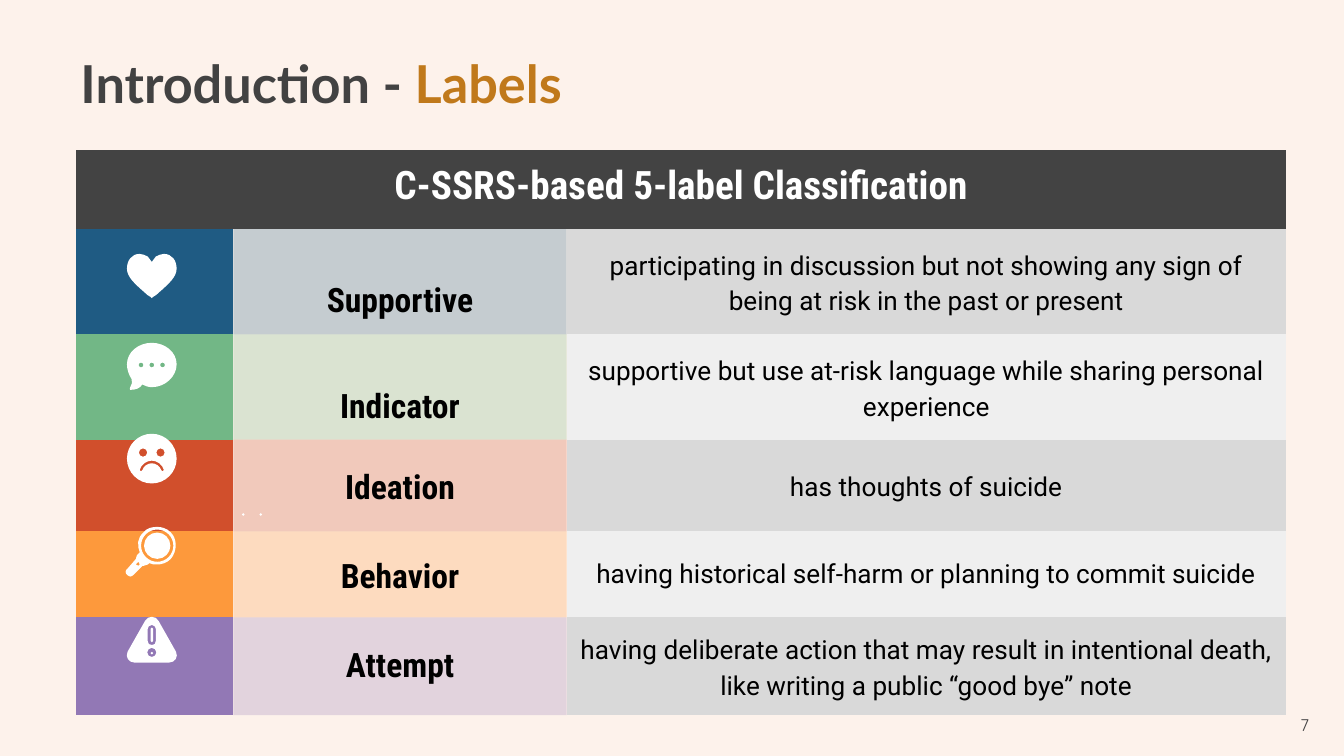
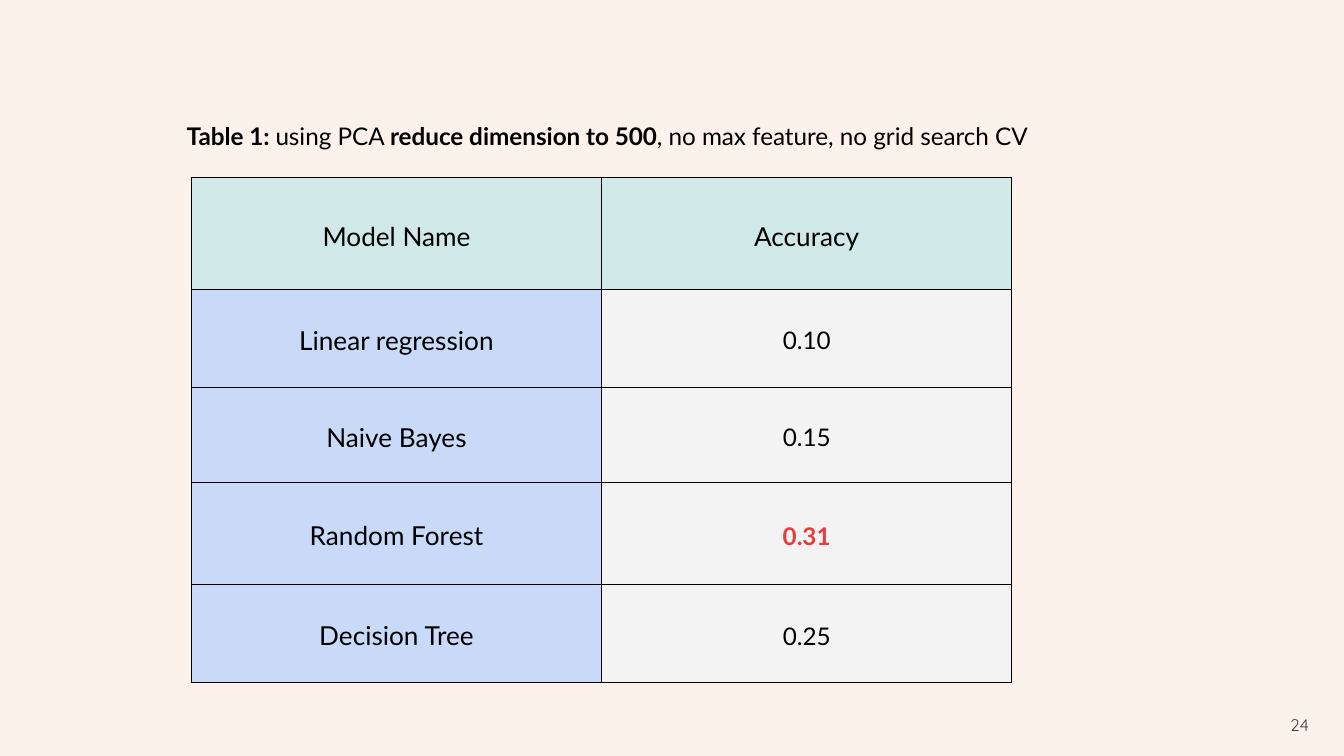
from lxml import etree
from pptx import Presentation
from pptx.dml.color import RGBColor
from pptx.enum.text import MSO_ANCHOR, MSO_AUTO_SIZE, PP_ALIGN
from pptx.oxml.ns import qn
from pptx.util import Cm, Pt

TOP, MIDDLE = MSO_ANCHOR.TOP, MSO_ANCHOR.MIDDLE
LEFT, CENTER, RIGHT = PP_ALIGN.LEFT, PP_ALIGN.CENTER, PP_ALIGN.RIGHT
NO_AUTOFIT = MSO_AUTO_SIZE.NONE

# Colours
CREAM = RGBColor(0xFD, 0xF2, 0xEB)
CHARCOAL = RGBColor(0x42, 0x42, 0x42)
HEADER_GRAY = RGBColor(0x43, 0x43, 0x43)
OCHRE = RGBColor(0xC0, 0x79, 0x1B)
WHITE = RGBColor(0xFF, 0xFF, 0xFF)
BLACK = RGBColor(0, 0, 0)
BLUE = RGBColor(0x1F, 0x5B, 0x83)
GREEN = RGBColor(0x72, 0xB7, 0x86)
RED = RGBColor(0xD1, 0x4F, 0x2C)
ORANGE = RGBColor(0xFD, 0x99, 0x3C)
PURPLE = RGBColor(0x92, 0x78, 0xB5)
GRAY = RGBColor(0xD9, 0xD9, 0xD9)
LIGHT_GRAY = RGBColor(0xEF, 0xEF, 0xEF)
PALE_GRAY = RGBColor(0xF3, 0xF3, 0xF3)
MINT = RGBColor(0xD0, 0xE8, 0xE7)
PALE_BLUE = RGBColor(0xC9, 0xDA, 0xF8)
BEST_RED = RGBColor(0xEC, 0x3A, 0x3B)

# Fonts
LATO, QUICKSAND = "Lato", "Quicksand"
ROBOTO, CONDENSED = "Roboto", "Roboto Condensed"

INSET = Cm(0.25)
NO_STYLE = "{2D5ABB26-0587-4C30-8999-92F81FD0307C}"
TITLE_ONLY, BLANK = 5, 6
ICON_UNIT = 0.0254  # cm per icon grid step


# Icon outlines, on a grid with x = 0 on the icon's axis and y = 0 at its top.
# A contour is a start point, then lines (2 numbers) and Bézier curves (6).
def mirrored(start, *steps):
    """Contour of a half outline and its reflection about the axis."""
    back = []
    x, y = start
    for step in steps:
        coords = [x, y, *step[:-2]]
        reflected = []
        for i in range(len(coords) - 2, -1, -2):
            reflected += [-coords[i], coords[i + 1]]
        back.insert(0, reflected)
        x, y = step[-2:]
    return [start, *steps, *back]


def circle(cx, cy, radius):
    k = 0.55 * radius
    left, right, top, bottom = cx - radius, cx + radius, cy - radius, cy + radius
    return [(cx, top),
            (cx - k, top, left, cy - k, left, cy),
            (left, cy + k, cx - k, bottom, cx, bottom),
            (cx + k, bottom, right, cy + k, right, cy),
            (right, cy - k, cx + k, top, cx, top)]


HEART = [[mirrored((0, 6), (-1, 5, -2, 3, -3, 2), (-5, 1, -7, 0, -9, 0),
                   (-15, 0, -18.5, 5, -18.5, 11), (-18.5, 17, -13, 22, -5, 29),
                   (-4, 30, -3, 31, -1, 32), (-1, 33, 0, 33, 0, 33))]]
BUBBLE = [[[(0, 0), (-10, 0, -18.5, 7, -18.5, 16), (-18.5, 20, -17, 24, -15, 27),
            (-14, 29, -15, 31, -16, 33), (-17, 34, -16, 35, -16, 35),
            (-12, 35, -9, 34, -7, 31), (-5, 32, -3, 33, 0, 33),
            (10, 33, 18.5, 25, 18.5, 16), (18.5, 7, 10, 0, 0, 0)],
           *[circle(x, 16.5, 1.8) for x in (-8, 0, 8)]]]
SAD_FACE = [[circle(68, 60, 1)], [circle(81, 60, 1)],
            [circle(0, 18.5, 18.5), circle(-6.5, 14, 3.1), circle(6.5, 14, 3.1),
             mirrored((0, 20), (4, 20, 8, 23, 9, 27), (9, 28, 9, 28, 8, 28),
                      (8, 28, 7, 28, 7, 27), (6, 24, 3, 22, 0, 22))]]
MAGNIFIER = [[[(4, 0), (0, 0, -4, 1, -6, 4), (-11, 8, -11, 14, -9, 19), (-11, 21),
               (-12, 22, -12, 23, -12, 24), (-18, 31), (-20, 32, -20, 35, -18, 36),
               (-18, 36, -17, 37, -16, 37), (-15, 37, -14, 36, -14, 36), (-7, 29),
               (-6, 29, -6, 29, -6, 29), (-5, 29, -4, 29, -3, 28), (-2, 27),
               (0, 28, 2, 28, 4, 28), (7, 28, 11, 27, 14, 24),
               (19, 18, 19, 9, 14, 4), (11, 1, 7, 0, 4, 0)],
              circle(4, 14, 12), [(-10, 26), (-9, 28), (-10, 29), (-12, 28)]],
             [circle(4, 14, 9.8)]]
WARNING = [[mirrored((0, 8), (-1, 8, -1, 9, -1, 9), (-1, 18), (-1, 18, -1, 19, 0, 19))],
           [mirrored((0, 0), (-2, 0, -4, 1, -5, 3), (-18, 26),
                     (-20, 30, -17, 34, -13, 34), (0, 34)),
            mirrored((0, 6), (-2, 6, -3, 8, -3, 9), (-3, 18), (-3, 20, -2, 21, 0, 21)),
            circle(0, 26.5, 3.4)],
           [circle(0, 27, 1)]]


class Deck:
    """Shared style and the slide being built."""

    def __init__(self):
        self.prs = Presentation()
        self.prs.slide_width, self.prs.slide_height = Cm(25.4), Cm(14.29)
        self.s = None

    def slide(self, layout):
        self.s = self.prs.slides.add_slide(self.prs.slide_layouts[layout])
        fill = self.s.background.fill
        fill.solid()
        fill.fore_color.rgb = CREAM

    def number(self, number):
        self.text(23.47, 13.16, 1.52, 1.09, [(number, CHARCOAL, False)],
                  QUICKSAND, 9, RIGHT)

    def frame(self, sp, box, runs, font, size, align, anchor, spacing=None):
        sp.left, sp.top, sp.width, sp.height = [Cm(v) for v in box]
        tf = sp.text_frame
        tf.word_wrap, tf.auto_size, tf.vertical_anchor = True, NO_AUTOFIT, anchor
        tf.margin_left = tf.margin_right = tf.margin_top = tf.margin_bottom = INSET
        self.paragraph(tf.paragraphs[0], runs, font, size, align, spacing)

    def paragraph(self, p, runs, font, size, align, spacing=None):
        p.alignment = align
        if spacing:
            p.line_spacing = spacing
        for text, color, bold in runs:
            r = p.add_run()
            r.text = text
            r.font.name, r.font.size, r.font.bold = font, Pt(size), bold
            r.font.color.rgb = color

    def title(self, runs):
        self.frame(self.s.shapes.title, (1.27, 0.71, 22.86, 1.47), runs,
                   LATO, 28, LEFT, TOP)

    def text(self, x, y, w, h, runs, font, size, align=LEFT, spacing=None):
        sp = self.s.shapes.add_textbox(Cm(x), Cm(y), Cm(w), Cm(h))
        self.frame(sp, (x, y, w, h), runs, font, size, align, MIDDLE, spacing)

    def table(self, x, y, widths, heights):
        sp = self.s.shapes.add_table(len(heights), len(widths), Cm(x), Cm(y),
                                     Cm(sum(widths)), Cm(sum(heights)))
        table = sp.table
        table.first_row = table.horz_banding = False
        table._tbl.tblPr.find(qn("a:tableStyleId")).text = NO_STYLE
        for column, width in zip(table.columns, widths):
            column.width = Cm(width)
        for row, height in zip(table.rows, heights):
            row.height = Cm(height)
        return table

    def cell(self, cell, fill, text="", font=ROBOTO, size=14, color=BLACK, bold=False,
             spacing=None, anchor=MIDDLE, inset=INSET, alpha=None, border=None):
        cell.margin_left = cell.margin_right = inset
        cell.margin_top = cell.margin_bottom = inset
        cell.vertical_anchor = anchor
        if border:
            self.borders(cell, border)
        cell.fill.solid()
        cell.fill.fore_color.rgb = fill
        if alpha:
            clr = cell._tc.tcPr.find(qn("a:solidFill")).find(qn("a:srgbClr"))
            etree.SubElement(clr, qn("a:alpha"), val=str(alpha * 1000))
        if text:
            self.paragraph(cell.text_frame.paragraphs[0], [(text, color, bold)],
                           font, size, CENTER, spacing)

    def borders(self, cell, color):
        for side in ("lnL", "lnR", "lnT", "lnB"):
            ln = etree.SubElement(cell._tc.tcPr, qn("a:" + side), w=str(Pt(0.75)))
            fill = etree.SubElement(ln, qn("a:solidFill"))
            etree.SubElement(fill, qn("a:srgbClr"), val=str(color))

    def icon(self, x, y, parts):
        for contours in parts:
            builder = None
            for contour in contours:
                pts = [(Cm(x + step[i] * ICON_UNIT), Cm(y + step[i + 1] * ICON_UNIT))
                       for step in contour for i in range(0, len(step), 2)]
                if builder is None:
                    builder = self.s.shapes.build_freeform(*pts[0], scale=1)
                else:
                    builder.move_to(*pts[0])
                builder.add_line_segments(pts[1:], close=True)
            sp = builder.convert_to_shape()
            self.bend(sp, [len(step) for c in contours for step in c[1:]])
            sp.shadow.inherit = False
            sp.fill.solid()
            sp.fill.fore_color.rgb = WHITE
            sp.line.fill.background()

    def bend(self, sp, step_sizes):
        """Turn each three segments that hold a curve's points into that curve."""
        segments = iter(list(sp._element.iter(qn("a:lnTo"))))
        for size in step_sizes:
            first = next(segments)
            if size == 6:
                first.tag = qn("a:cubicBezTo")
                for _ in range(2):
                    segment = next(segments)
                    first.append(segment[0])
                    segment.getparent().remove(segment)


def labels_slide(deck):
    deck.slide(TITLE_ONLY)
    deck.title([("Introduction - ", CHARCOAL, True), ("Labels", OCHRE, True)])

    # Label, its colour and line spacing, description and its line spacing
    labels = [
        ("Supportive", BLUE, 2.0, "participating in discussion but not showing any sign "
         "of being at risk in the past or present", 1.15),
        ("Indicator", GREEN, 2.0, "supportive but use at-risk language while sharing "
         "personal experience", 1.15),
        ("Ideation", RED, 1.15, "has thoughts of suicide", 1.15),
        ("Behavior", ORANGE, 1.15,
         "having historical self-harm or planning to commit suicide", None),
        ("Attempt", PURPLE, None, "having deliberate action that may result in "
         "intentional death, like writing a public “good bye” note", 1.15),
    ]
    table = deck.table(1.44, 2.83, [2.97, 6.3, 13.59], [1.5, 1.5, 1.5, 1.73, 1.63, 1.5])
    header = table.cell(0, 0)
    header.merge(table.cell(0, 2))
    deck.cell(header, HEADER_GRAY, "C-SSRS-based 5-label Classification", CONDENSED, 21,
              WHITE, True, anchor=TOP)
    for i, (label, color, label_gap, meaning, meaning_gap) in enumerate(labels, 1):
        deck.cell(table.cell(i, 0), color)
        deck.cell(table.cell(i, 1), color, label, CONDENSED, 18, bold=True,
                  spacing=label_gap, alpha=25)
        deck.cell(table.cell(i, 2), GRAY if i % 2 else LIGHT_GRAY, meaning,
                  spacing=meaning_gap)
    deck.number("7")

    # Icons in the colour column
    for y, parts in ((6.48, BUBBLE), (9.96, MAGNIFIER), (8.2, SAD_FACE),
                     (11.66, WARNING), (4.8, HEART)):
        deck.icon(2.87, y, parts)


def accuracy_slide(deck):
    deck.slide(BLANK)

    # Results table
    rows = [("Model Name", "Accuracy"), ("Linear regression", "0.10"),
            ("Naive Bayes", "0.15"), ("Random Forest", "0.31"), ("Decision Tree", "0.25")]
    best = max(value for _, value in rows[1:])
    table = deck.table(3.62, 3.36, [7.75, 7.75], [2.11, 1.85, 1.8, 1.93, 1.85])
    shared = dict(font=LATO, spacing=1.15, inset=Cm(0.16), border=BLACK)
    for i, (model, value) in enumerate(rows):
        is_best = value == best
        deck.cell(table.cell(i, 0), PALE_BLUE if i else MINT, model, **shared)
        deck.cell(table.cell(i, 1), PALE_GRAY if i else MINT, value, size=13 if i else 14,
                  color=BEST_RED if is_best else BLACK, bold=is_best, **shared)

    # Caption
    deck.text(3.28, 1.26, 19.1, 2.54,
              [("Table 1: ", BLACK, True), ("using PCA ", BLACK, False),
               ("reduce dimension to 500", BLACK, True),
               (", no max feature, no grid search CV", BLACK, False)],
              LATO, 13, spacing=1.15)
    deck.number("24")


def main():
    deck = Deck()
    labels_slide(deck)
    accuracy_slide(deck)
    deck.prs.save("out.pptx")


if __name__ == "__main__":
    main()
